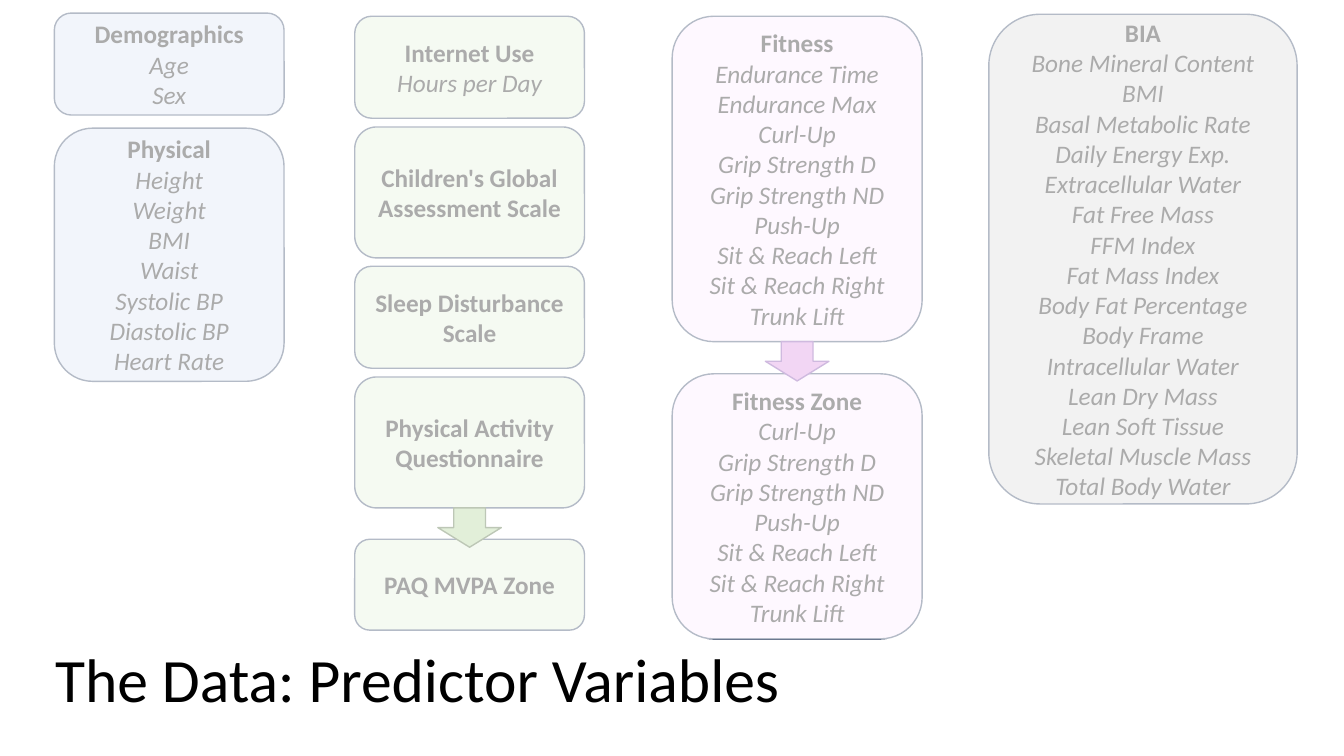
from lxml import etree
from pptx import Presentation
from pptx.dml.color import RGBColor
from pptx.enum.shapes import MSO_SHAPE
from pptx.enum.text import MSO_ANCHOR, PP_ALIGN
from pptx.oxml.ns import qn
from pptx.util import Cm, Pt

ROUND, ARROW, RECT = MSO_SHAPE.ROUNDED_RECTANGLE, MSO_SHAPE.DOWN_ARROW, MSO_SHAPE.RECTANGLE
MIDDLE = MSO_ANCHOR.MIDDLE
LEFT, CENTER = PP_ALIGN.LEFT, PP_ALIGN.CENTER
FONT = "Calibri"

TITLE = "The Data: Predictor Variables"
ZONE = ["Curl-Up", "Grip Strength D", "Grip Strength ND", "Push-Up",
        "Sit & Reach Left", "Sit & Reach Right", "Trunk Lift"]
BODY = ["Bone Mineral Content", "BMI", "Basal Metabolic Rate", "Daily Energy Exp.",
        "Extracellular Water", "Fat Free Mass", "FFM Index", "Fat Mass Index",
        "Body Fat Percentage", "Body Frame", "Intracellular Water", "Lean Dry Mass",
        "Lean Soft Tissue", "Skeletal Muscle Mass", "Total Body Water"]

# Each column: left, width, colour, cards; each card: top, height, head, items
COLUMNS = [
    (1.37, 5.79, "blue", [
        (0.33, 2.57, "Demographics", ["Age", "Sex"]),
        (3.23, 6.38, "Physical", ["Height", "Weight", "BMI", "Waist", "Systolic BP",
                                  "Diastolic BP", "Heart Rate"]),
    ]),
    (8.94, 5.79, "green", [
        (0.41, 2.57, "Internet Use", ["Hours per Day"]),
        (3.2, 3.3, "Children's Global Assessment Scale", []),
        (6.71, 2.57, "Sleep Disturbance Scale", []),
        (9.5, 3.3, "Physical Activity Questionnaire", []),
        (13.59, 2.29, "PAQ MVPA Zone", []),
    ]),
    (16.94, 6.3, "pink", [
        (0.41, 8.2, "Fitness", ["Endurance Time", "Endurance Max"] + ZONE),
        (9.42, 6.68, "Fitness Zone", ZONE),
    ]),
    (24.92, 7.77, "gray", [(0.36, 12.34, "BIA", BODY)]),
]
# Column index, card above the arrow, fill, line
ARROWS = [(1, 3, "leaf", "forest"), (2, 0, "orchid", "purple")]
ARROW_W, ARROW_H = 1.6, 0.99

COLORS = {"blue": "DAE3F3", "green": "E2F0D9", "pink": "FDEAFF", "gray": "D9D9D9",
          "navy": "1E3256", "leaf": "A9D18E", "forest": "385723", "orchid": "D983E0",
          "purple": "7030A0", "white": "FFFFFF", "black": "000000"}


def rgb(name):
    return RGBColor.from_string(COLORS[name])


def add_shape(slide, kind, box, fill, line=None):
    shape = slide.shapes.add_shape(kind, *map(Cm, box))
    shape.shadow.inherit = False
    shape.fill.solid()
    shape.fill.fore_color.rgb = rgb(fill)
    if line:
        shape.line.color.rgb = rgb(line)
        shape.line.width = Pt(1)
    else:
        shape.line.fill.background()
    return shape


def write(frame, lines, align):
    """Fill a text frame with (text, size, bold, italic) lines."""
    frame.word_wrap = True
    frame.vertical_anchor = MIDDLE
    for i, (text, size, bold, italic) in enumerate(lines):
        para = frame.add_paragraph() if i else frame.paragraphs[0]
        para.alignment = align
        run = para.add_run()
        run.text = text
        font = run.font
        font.name, font.size = FONT, Pt(size)
        font.bold, font.italic = bold, italic
        font.color.rgb = rgb("black")


def add_veil(slide):
    """Fade the cards with a white sheet that is 67% opaque."""
    veil = add_shape(slide, RECT, (1.14, 0, 32.18, 16.1), "white")
    color = veil.fill._xPr.find(qn("a:solidFill"))[0]
    etree.SubElement(color, qn("a:alpha")).set("val", "67000")


def main():
    deck = Presentation()
    deck.slide_width, deck.slide_height = Cm(33.87), Cm(19.05)
    slide = deck.slides.add_slide(deck.slide_layouts[6])

    title = slide.shapes.add_textbox(*map(Cm, (1.14, 15.37, 29.21, 3.68)))
    write(title.text_frame, [(TITLE, 44, False, False)], LEFT)
    title.text_frame.paragraphs[0].line_spacing = 0.9

    for left, width, color, cards in COLUMNS:
        for top, height, head, items in cards:
            card = add_shape(slide, ROUND, (left, top, width, height), color, "navy")
            lines = [(head, 18, True, False)] + [(item, 18, False, True) for item in items]
            write(card.text_frame, lines, CENTER)

    for col, row, fill, line in ARROWS:
        left, width, _, cards = COLUMNS[col]
        top, height = cards[row][:2]
        box = (left + (width - ARROW_W) / 2, top + height, ARROW_W, ARROW_H)
        add_shape(slide, ARROW, box, fill, line)

    add_veil(slide)
    deck.save("out.pptx")


if __name__ == "__main__":
    main()
